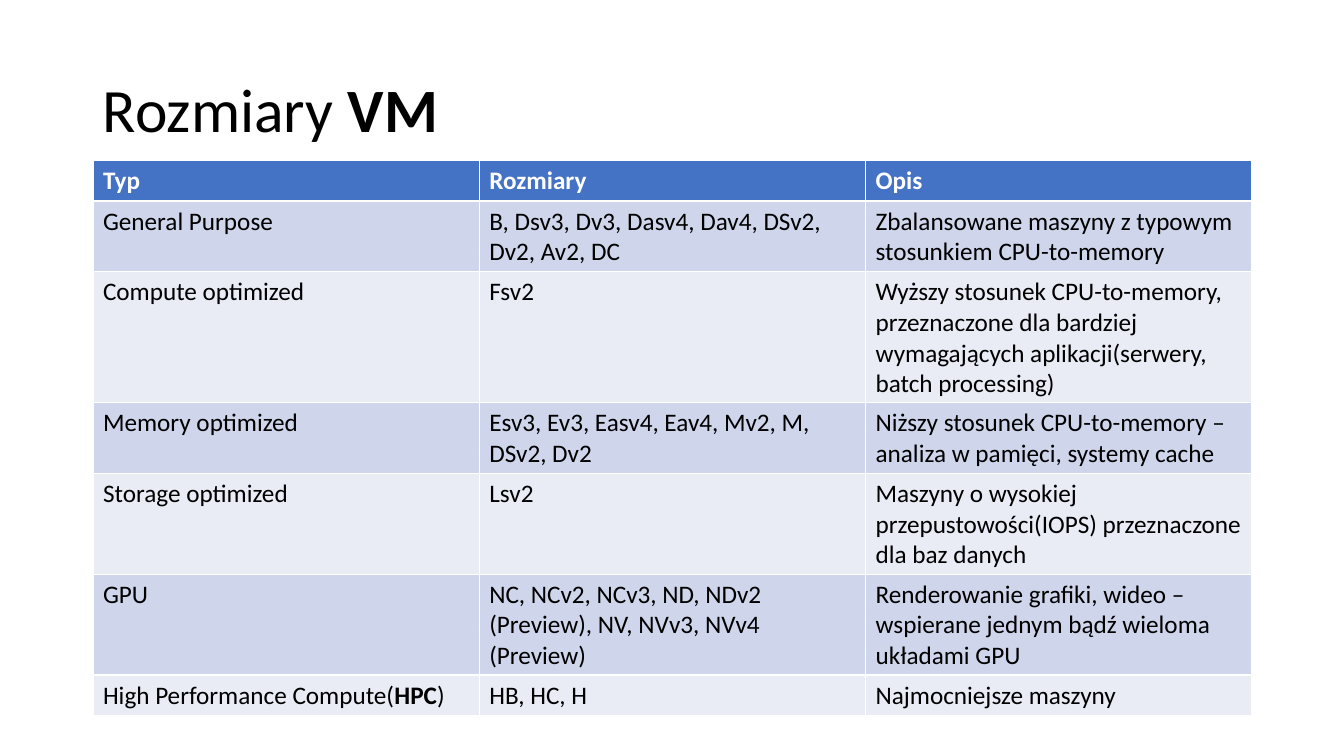
"""Builds a slide with a table of virtual machine sizes."""
from pptx import Presentation
from pptx.dml.color import RGBColor
from pptx.enum.text import MSO_ANCHOR
from pptx.util import Pt

TITLE = [("Rozmiary ", False), ("VM", True)]
HEADER = ("Typ", "Rozmiary", "Opis")
SIZES = [
    ("General Purpose", "B, Dsv3, Dv3, Dasv4, Dav4, DSv2, Dv2, Av2, DC",
     "Zbalansowane maszyny z typowym stosunkiem CPU-to-memory"),
    ("Compute optimized", "Fsv2",
     "Wyższy stosunek CPU-to-memory, przeznaczone dla bardziej "
     "wymagających aplikacji(serwery, batch processing)"),
    ("Memory optimized", "Esv3, Ev3, Easv4, Eav4, Mv2, M, DSv2, Dv2",
     "Niższy stosunek CPU-to-memory – analiza w pamięci, systemy cache"),
    ("Storage optimized", "Lsv2",
     "Maszyny o wysokiej przepustowości(IOPS) przeznaczone dla baz danych"),
    ("GPU", "NC, NCv2, NCv3, ND, NDv2 (Preview), NV, NVv3, NVv4 (Preview)",
     "Renderowanie grafiki, wideo – wspierane jednym bądź wieloma układami GPU"),
    ([("High Performance Compute(", False), ("HPC", True), (")", False)],
     "HB, HC, H", "Najmocniejsze maszyny"),
]
FONT = "Calibri"
BLACK, WHITE, BLUE = "000000", "FFFFFF", "4472C4"
BANDS = ("CFD5EA", "E9EBF5")
LEFT, WIDTH, ROW_HEIGHT = 93, 1159, 41
TITLE_TOP, TITLE_HEIGHT, TABLE_TOP = 40, 146, 160


def px(length):
    return round(length * 914400 / 100.8)


def color(value):
    return RGBColor.from_string(value)


def write(frame, text, size=18, ink=BLACK, bold=False, spacing=None):
    paragraph = frame.paragraphs[0]
    if spacing:
        paragraph.line_spacing = spacing
    parts = [(text, bold)] if isinstance(text, str) else text
    for words, strong in parts:
        run = paragraph.add_run()
        run.text = words
        run.font.name = FONT
        run.font.size = Pt(size)
        run.font.bold = strong
        run.font.color.rgb = color(ink)


def main():
    deck = Presentation()
    deck.slide_width, deck.slide_height = px(1344), px(756)
    slide = deck.slides.add_slide(deck.slide_layouts[6])

    title = slide.shapes.add_textbox(
        px(LEFT), px(TITLE_TOP), px(WIDTH), px(TITLE_HEIGHT)).text_frame
    title.word_wrap = True
    title.vertical_anchor = MSO_ANCHOR.MIDDLE
    write(title, TITLE, size=44, spacing=0.9)

    rows = [HEADER] + SIZES
    sizes = slide.shapes.add_table(
        len(rows), len(HEADER), px(LEFT), px(TABLE_TOP),
        px(WIDTH), px(ROW_HEIGHT * len(rows))).table
    for r, row in enumerate(rows):
        is_header = r == 0
        for c, text in enumerate(row):
            cell = sizes.cell(r, c)
            cell.fill.solid()
            cell.fill.fore_color.rgb = color(BLUE if is_header else BANDS[(r - 1) % 2])
            write(cell.text_frame, text, ink=WHITE if is_header else BLACK, bold=is_header)

    deck.save("out.pptx")


if __name__ == "__main__":
    main()
